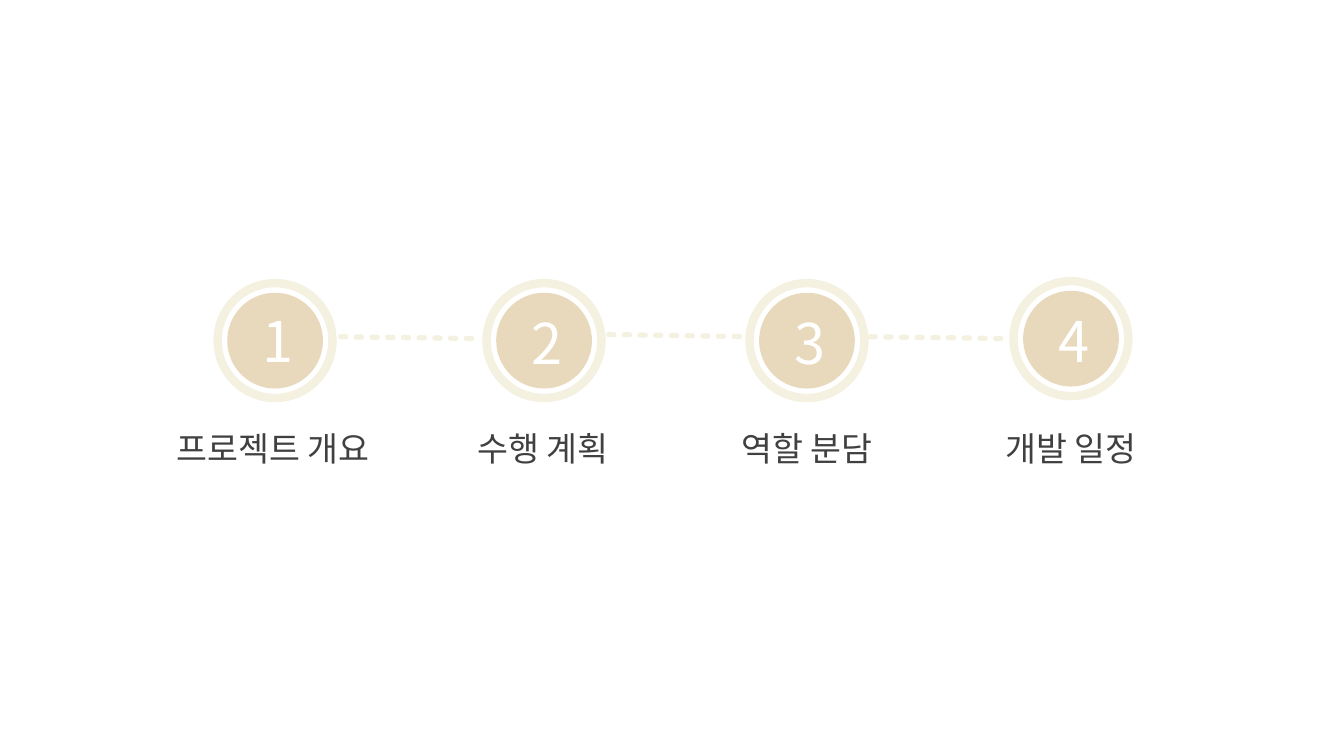
from dataclasses import dataclass

from lxml import etree
from pptx import Presentation
from pptx.dml.color import RGBColor
from pptx.enum.shapes import MSO_CONNECTOR, MSO_SHAPE
from pptx.enum.text import MSO_AUTO_SIZE, PP_ALIGN
from pptx.oxml.ns import qn
from pptx.slide import Slide
from pptx.util import Pt

OVAL = MSO_SHAPE.OVAL
STRAIGHT = MSO_CONNECTOR.STRAIGHT
CENTER = PP_ALIGN.CENTER
GROW = MSO_AUTO_SIZE.SHAPE_TO_FIT_TEXT

COLORS = {"ring": "F4F1E0", "disc": "E9D9BC", "number": "FFFFFF", "label": "404040"}
FONT = "Noto Sans CJK KR"
RING_SIZE, DISC_SIZE = 82.1, 68.4
RING_WIDTH, LINK_WIDTH = 6, 3.75
NUMBER_WIDTH, NUMBER_HEIGHT = 31.7, 55.4
LABEL_TOP, LABEL_HEIGHT = 302.4, 36
LINK_LENGTH, LINK_DROP = 98.9, 1.4


@dataclass
class Step:
    number: str
    label: str
    center_x: float
    center_y: float
    number_top: float
    label_center: float
    label_width: float


@dataclass
class Link:
    left: float
    top: float


STEPS = [
    Step("1", "프로젝트 개요", 196.6, 243.3, 215.3, 195.1, 178.6),
    Step("2", "수행 계획", 388.8, 243.3, 216.7, 388.1, 132.5),
    Step("3", "역할 분담", 576.7, 243.3, 216.7, 576.7, 132.5),
    Step("4", "개발 일정", 765.4, 241.9, 215.3, 765.4, 132.5),
]
LINKS = [Link(243.4, 240.5), Link(434.9, 239), Link(621.7, 240.5)]


def rgb(part: str) -> RGBColor:
    return RGBColor.from_string(COLORS[part])


def add_circle(slide: Slide, step: Step, size: float):
    circle = slide.shapes.add_shape(
        OVAL, Pt(step.center_x - size / 2), Pt(step.center_y - size / 2), Pt(size), Pt(size)
    )
    circle.shadow.inherit = False
    return circle


def add_marker(slide: Slide, step: Step) -> None:
    """Draw the open ring and the filled disc inside it."""
    ring = add_circle(slide, step, RING_SIZE)
    ring.fill.background()
    ring.line.color.rgb = rgb("ring")
    ring.line.width = Pt(RING_WIDTH)
    disc = add_circle(slide, step, DISC_SIZE)
    disc.fill.solid()
    disc.fill.fore_color.rgb = rgb("disc")
    disc.line.fill.background()


def add_centered_text(slide: Slide, text: str, center_x: float, top: float,
                      width: float, height: float, size: float, part: str) -> None:
    box = slide.shapes.add_textbox(Pt(center_x - width / 2), Pt(top), Pt(width), Pt(height))
    frame = box.text_frame
    frame.word_wrap = True
    frame.auto_size = GROW
    paragraph = frame.paragraphs[0]
    paragraph.alignment = CENTER
    run = paragraph.add_run()
    run.text = text
    for attribute, value in {"name": FONT, "size": Pt(size)}.items():
        setattr(run.font, attribute, value)
    run.font.color.rgb = rgb(part)
    etree.SubElement(run.font._element, qn("a:ea"), typeface=FONT)


def add_link(slide: Slide, link: Link) -> None:
    """Draw a dashed line with rounded dashes, two widths on and one off."""
    connector = slide.shapes.add_connector(
        STRAIGHT, Pt(link.left), Pt(link.top),
        Pt(link.left + LINK_LENGTH), Pt(link.top + LINK_DROP),
    )
    connector.line.color.rgb = rgb("ring")
    connector.line.width = Pt(LINK_WIDTH)
    properties = connector._element.spPr
    outline = properties.find(qn("a:ln"))
    outline.set("cap", "rnd")
    dashes = etree.SubElement(outline, qn("a:custDash"))
    etree.SubElement(dashes, qn("a:ds"), d="200000", sp="100000")
    etree.SubElement(properties, qn("a:effectLst"))


def main() -> None:
    deck = Presentation()
    deck.slide_width, deck.slide_height = Pt(960.5), Pt(540)
    slide = deck.slides.add_slide(deck.slide_layouts[6])
    for step in STEPS:
        add_marker(slide, step)
        add_centered_text(slide, step.number, step.center_x, step.number_top,
                          NUMBER_WIDTH, NUMBER_HEIGHT, 40, "number")
        add_centered_text(slide, step.label, step.label_center, LABEL_TOP,
                          step.label_width, LABEL_HEIGHT, 24, "label")
    for link in LINKS:
        add_link(slide, link)
    deck.save("out.pptx")


if __name__ == "__main__":
    main()
